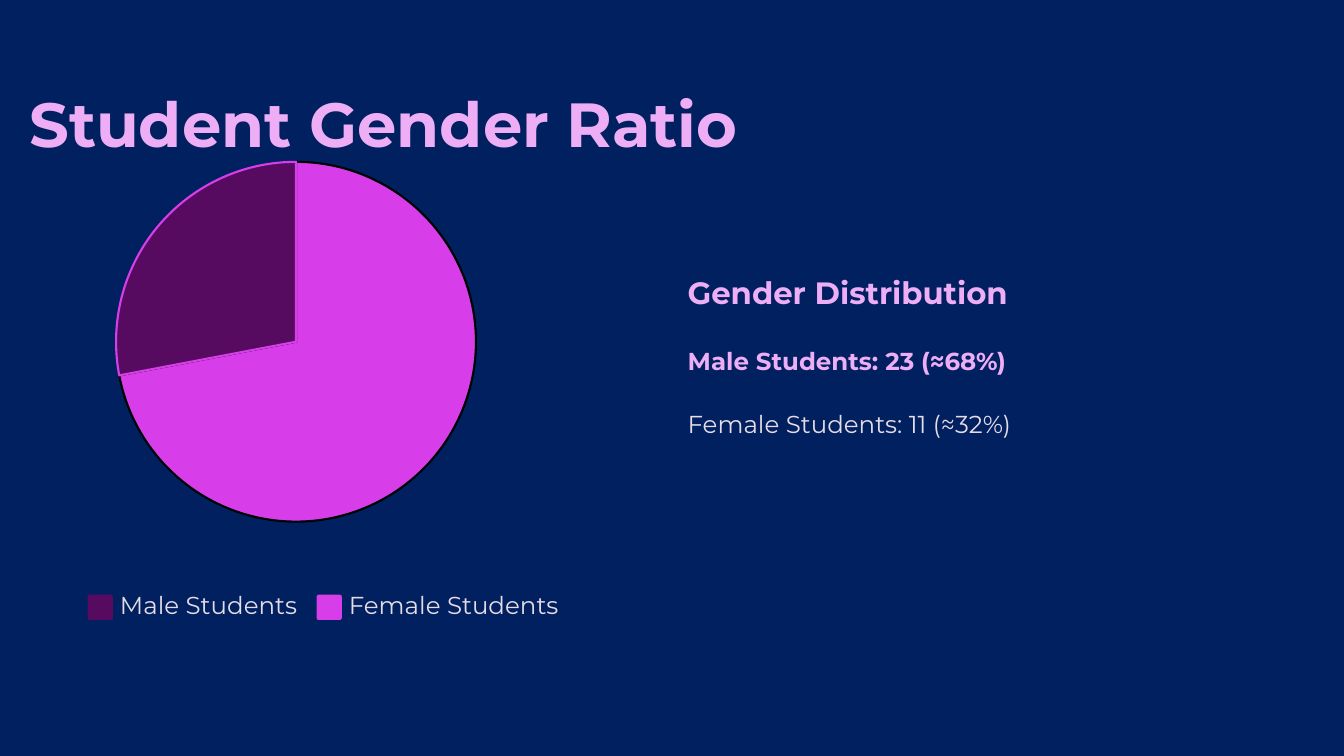
from lxml.etree import SubElement
from pptx import Presentation
from pptx.chart.data import CategoryChartData
from pptx.dml.color import RGBColor
from pptx.enum.chart import XL_CHART_TYPE
from pptx.enum.shapes import MSO_SHAPE
from pptx.enum.text import MSO_ANCHOR, MSO_AUTO_SIZE, PP_ALIGN
from pptx.oxml.ns import qn
from pptx.util import Inches, Pt

NAVY = RGBColor(0x00, 0x20, 0x60)
PINK = RGBColor(0xEE, 0xAE, 0xF6)
PALE = RGBColor(0xE5, 0xDC, 0xE6)
PLUM = RGBColor(0x57, 0x0B, 0x60)
MAGENTA = RGBColor(0xD7, 0x3E, 0xEA)
BLACK = RGBColor(0x00, 0x00, 0x00)

TITLE = dict(size=44.5, bold=True, color=PINK, line=55.5)
HEADING = dict(size=22, bold=True, color=PINK, line=27.5)
STRONG = dict(size=17.5, bold=True, color=PINK, line=28.5, before=18)
PLAIN = dict(size=17.5, bold=False, color=PALE, line=28.5, before=16.5)
LABEL = dict(size=17.5, bold=False, color=PALE, line=17.5)


def place(sp, x, y, w, h):
    """Move a shape to a box given in inches."""
    for name, value in dict(left=x, top=y, width=w, height=h).items():
        setattr(sp, name, Inches(value))


def write(sp, lines):
    """Fill a shape with (text, format) paragraphs, flush to its top left."""
    tf = sp.text_frame
    frame = dict(margin_left=0, margin_right=0, margin_top=0, margin_bottom=0,
                 word_wrap=False, auto_size=MSO_AUTO_SIZE.NONE,
                 vertical_anchor=MSO_ANCHOR.TOP)
    for name, value in frame.items():
        setattr(tf, name, value)
    for i, (text, fmt) in enumerate(lines):
        p = tf.paragraphs[0] if i == 0 else tf.add_paragraph()
        spacing = dict(alignment=PP_ALIGN.LEFT, line_spacing=Pt(fmt["line"]),
                       space_before=Pt(fmt.get("before", 0)), space_after=Pt(0))
        for name, value in spacing.items():
            setattr(p, name, value)
        r = p.add_run()
        r.text = text
        font = dict(name="Montserrat", size=Pt(fmt["size"]), bold=fmt["bold"])
        for name, value in font.items():
            setattr(r.font, name, value)
        r.font.color.rgb = fmt["color"]


def add_title(s, x, y, w, h):
    """Set the slide title in its placeholder."""
    sp = s.shapes.title
    place(sp, x, y, w, h)
    write(sp, [("Student Gender Ratio", TITLE)])


def add_distribution(s, x, y, w, h):
    """Set the heading and the two counts in the body placeholder."""
    sp = s.placeholders[1]
    place(sp, x, y, w, h)
    write(sp, [("Gender Distribution", HEADING),
               ("Male Students: 23 (≈68%)", STRONG),
               ("Female Students: 11 (≈32%)", PLAIN)])
    for p in sp.text_frame.paragraphs:
        pPr = p._p.get_or_add_pPr()
        pPr.set("marL", "0")
        pPr.set("indent", "0")
        SubElement(pPr, qn("a:buNone"))


def add_pie(s, x, y, w, h):
    """Draw the pie chart with a fixed plot area."""
    data = CategoryChartData()
    data.categories = ["1", "2"]
    data.add_series("Series 1", (72, 28))
    chart = s.shapes.add_chart(XL_CHART_TYPE.PIE, Inches(x), Inches(y),
                               Inches(w), Inches(h), data).chart
    chart.has_legend = False
    chart.has_title = False
    chart.font.name = "Calibri"
    chart.font.size = Pt(10)
    chart.font.color.rgb = BLACK
    series = chart.plots[0].series[0]
    series.format.line.color.rgb = MAGENTA
    series.format.line.width = Pt(0.75)
    for i, (fill, line) in enumerate([(MAGENTA, BLACK), (PLUM, MAGENTA)]):
        fmt = series.points[i].format
        fmt.fill.solid()
        fmt.fill.fore_color.rgb = fill
        fmt.line.color.rgb = line
        fmt.line.width = Pt(1.5)
    area = chart._chartSpace.chart.plotArea
    layout = area.find(qn("c:layout"))
    if layout is None:
        layout = SubElement(area, qn("c:layout"))
        area.insert(0, layout)
    manual = SubElement(layout, qn("c:manualLayout"))
    settings = dict(layoutTarget="inner", xMode="edge", yMode="edge",
                    x=0.12, y=0.03, w=0.75, h=0.93)
    for name, value in settings.items():
        SubElement(manual, qn("c:" + name)).set("val", str(value))


def add_legend_entry(s, x, y, w, text, color, side=0.25):
    """Draw a colour swatch with its label to the right."""
    swatch = s.shapes.add_shape(MSO_SHAPE.ROUNDED_RECTANGLE, Inches(x),
                                Inches(y), Inches(side), Inches(side))
    swatch.adjustments[0] = 0.08
    swatch.shadow.inherit = False
    swatch.fill.solid()
    swatch.fill.fore_color.rgb = color
    swatch.line.fill.background()
    label = s.shapes.add_textbox(Inches(x + side + 0.07), Inches(y),
                                 Inches(w), Inches(side))
    write(label, [(text, LABEL)])


def main():
    """Build the slide and save it."""
    prs = Presentation()
    prs.slide_width, prs.slide_height = Inches(13.33), Inches(7.5)
    s = prs.slides.add_slide(prs.slide_layouts[1])
    s.background.fill.solid()
    s.background.fill.fore_color.rgb = NAVY
    add_title(s, 0.29, 0.82, 7.5, 0.78)
    add_distribution(s, 6.82, 2.7, 6.2, 1.65)
    add_legend_entry(s, 0.87, 5.9, 1.79, "Male Students", PLUM)
    add_legend_entry(s, 3.14, 5.9, 2.12, "Female Students", MAGENTA)
    add_pie(s, 0.58, 1.49, 4.76, 3.84)
    prs.save("out.pptx")


if __name__ == "__main__":
    main()
